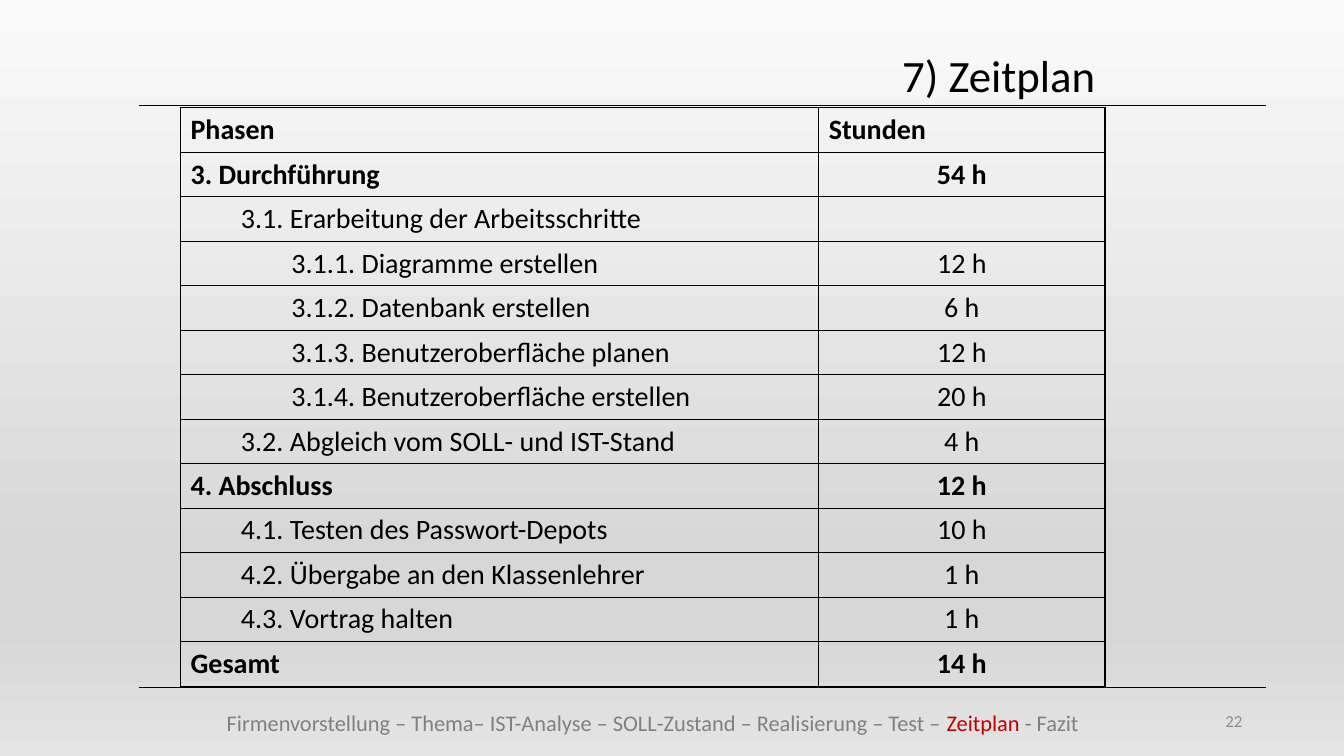
from lxml.etree import SubElement
from pptx import Presentation
from pptx.dml.color import RGBColor
from pptx.enum.shapes import MSO_CONNECTOR
from pptx.enum.text import MSO_ANCHOR, PP_ALIGN
from pptx.oxml.ns import qn
from pptx.util import Inches, Pt

BLACK = RGBColor(0x00, 0x00, 0x00)
GRAY = RGBColor(0x80, 0x80, 0x80)
NUMBER_GRAY = RGBColor(0x8C, 0x8C, 0x8C)
RED = RGBColor(0xC0, 0x00, 0x00)
LIGHT = RGBColor(0xFA, 0xFA, 0xFA)
MIDDLE = RGBColor(0xD7, 0xD7, 0xD7)
BOTTOM = RGBColor(0xE4, 0xE4, 0xE4)

BACKGROUND_STOPS = [(0, LIGHT), (74, MIDDLE), (83, MIDDLE), (100, BOTTOM)]
COLUMN_WIDTHS = [6.33, 2.84]
INDENT = 0.5
PHASES = [
    (0, "3. Durchführung", "54 h"),
    (1, "3.1. Erarbeitung der Arbeitsschritte", ""),
    (2, "3.1.1. Diagramme erstellen", "12 h"),
    (2, "3.1.2. Datenbank erstellen", "6 h"),
    (2, "3.1.3. Benutzeroberfläche planen", "12 h"),
    (2, "3.1.4. Benutzeroberfläche erstellen", "20 h"),
    (1, "3.2. Abgleich vom SOLL- und IST-Stand", "4 h"),
    (0, "4. Abschluss", "12 h"),
    (1, "4.1. Testen des Passwort-Depots", "10 h"),
    (1, "4.2. Übergabe an den Klassenlehrer", "1 h"),
    (1, "4.3. Vortrag halten", "1 h"),
    (0, "Gesamt", "14 h"),
]


def write(paragraph, text, size=20, color=BLACK, bold=False, align=PP_ALIGN.LEFT, level=0):
    paragraph.alignment = align
    if level:
        paragraph.level = level
        properties = paragraph._p.get_or_add_pPr()
        properties.set("marL", str(Inches(INDENT * level)))
        properties.set("indent", "0")
    paragraph.font.size = Pt(size)
    if text:
        run = paragraph.add_run()
        run.text = text
        run.font.name = "Calibri"
        run.font.size = Pt(size)
        run.font.bold = bold
        run.font.color.rgb = color


def add_text_line(slide, left, top, width, height):
    frame = slide.shapes.add_textbox(
        Inches(left), Inches(top), Inches(width), Inches(height)
    ).text_frame
    frame.word_wrap = True
    frame.vertical_anchor = MSO_ANCHOR.MIDDLE
    return frame.paragraphs[0]


def add_rule(slide, y):
    rule = slide.shapes.add_connector(
        MSO_CONNECTOR.STRAIGHT, Inches(1.38), Inches(y), Inches(12.56), Inches(y)
    )
    rule.line.color.rgb = BLACK
    rule.line.width = Pt(0.5)
    SubElement(rule._element.spPr, qn("a:effectLst"))


def paint_background(slide):
    fill = slide.background.fill
    fill.gradient()
    fill.gradient_angle = 270
    stops = slide.background._cSld.find(".//" + qn("a:gsLst"))
    for stop in list(stops):
        stops.remove(stop)
    for position, color in BACKGROUND_STOPS:
        stop = SubElement(stops, qn("a:gs"), pos=str(position * 1000))
        SubElement(stop, qn("a:srgbClr"), val=str(color))


def frame_cell(cell):
    properties = cell._tc.get_or_add_tcPr()
    for side in ("lnL", "lnR", "lnT", "lnB"):
        border = SubElement(properties, qn(f"a:{side}"), w=str(Pt(1)))
        solid = SubElement(border, qn("a:solidFill"))
        SubElement(solid, qn("a:srgbClr"), val=str(BLACK))
    cell.fill.background()


def add_schedule(slide):
    schedule = slide.shapes.add_table(
        len(PHASES) + 1, len(COLUMN_WIDTHS),
        Inches(1.79), Inches(1.07), Inches(sum(COLUMN_WIDTHS)), Inches(5.74),
    ).table
    schedule.first_row = False
    schedule.horz_banding = False
    for column, width in zip(schedule.columns, COLUMN_WIDTHS):
        column.width = Inches(width)
    for cell in schedule.iter_cells():
        frame_cell(cell)
    for column, heading in enumerate(("Phasen", "Stunden")):
        write(schedule.cell(0, column).text_frame.paragraphs[0], heading, bold=True)
    for row, (level, phase, hours) in enumerate(PHASES, start=1):
        bold = level == 0
        write(schedule.cell(row, 0).text_frame.paragraphs[0], phase, bold=bold, level=level)
        write(schedule.cell(row, 1).text_frame.paragraphs[0], hours,
              bold=bold, align=PP_ALIGN.CENTER)


def main():
    presentation = Presentation()
    presentation.slide_width = Inches(13.33)
    presentation.slide_height = Inches(7.5)
    slide = presentation.slides.add_slide(presentation.slide_layouts[6])
    paint_background(slide)
    for y in (1.05, 6.82):
        add_rule(slide, y)
    write(add_text_line(slide, 9.42, 6.95, 3, 0.4), "22",
          size=12, color=NUMBER_GRAY, align=PP_ALIGN.RIGHT)
    agenda = add_text_line(slide, 2.15, 6.98, 10.71, 0.37)
    for text, color in (
        ("Firmenvorstellung – Thema– IST-Analyse – SOLL-Zustand – Realisierung – Test – ", GRAY),
        ("Zeitplan", RED),
        (" - Fazit", GRAY),
    ):
        write(agenda, text, size=16, color=color)
    write(add_text_line(slide, 8.85, 0.42, 4.16, 0.64), "7) Zeitplan", size=32)
    add_schedule(slide)
    presentation.save("out.pptx")


if __name__ == "__main__":
    main()
